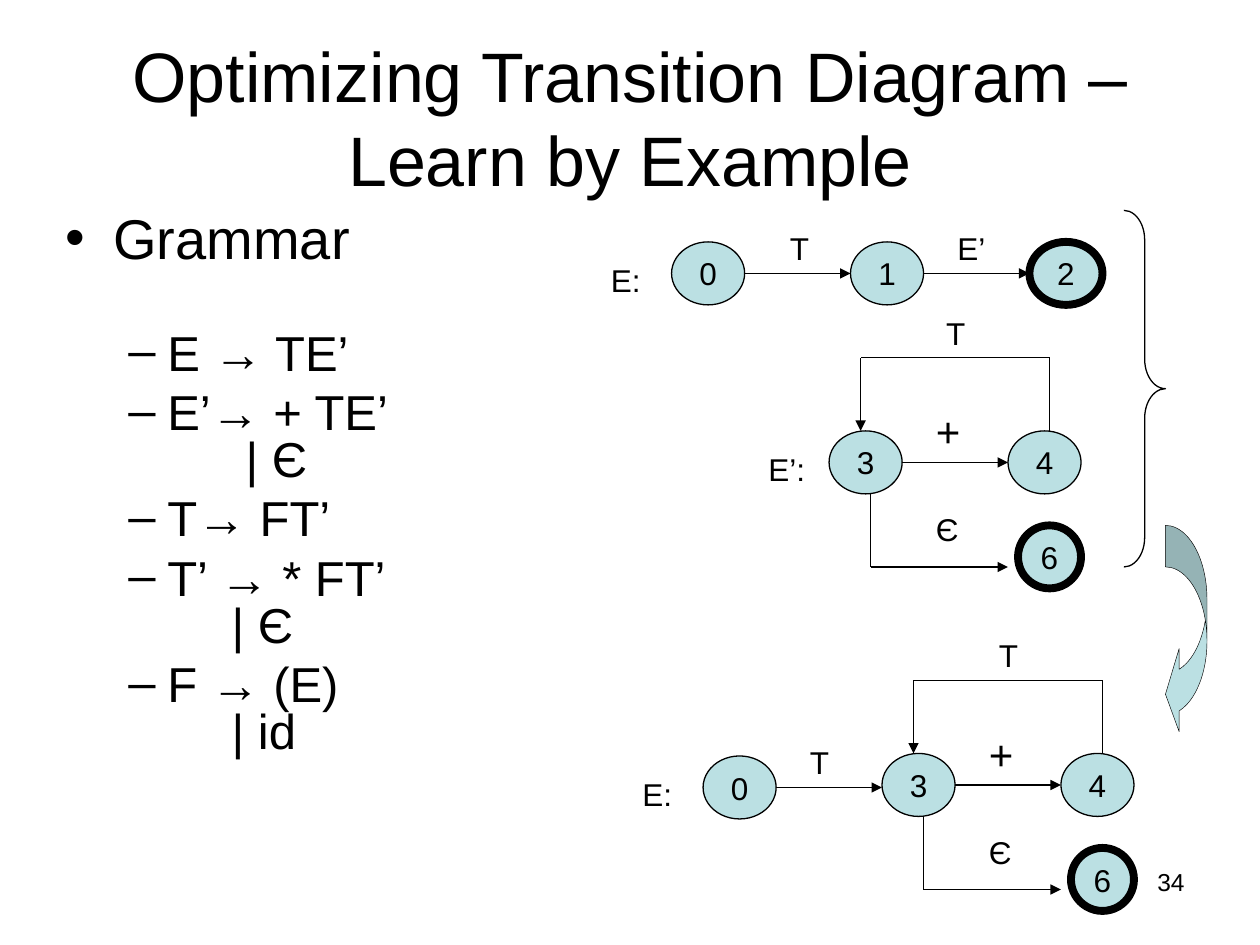
from pptx import Presentation
from pptx.dml.color import RGBColor
from pptx.enum import shapes, text
from pptx.oxml import ns, xmlchemy
from pptx.util import Inches, Pt

COLORS = {"ink": "000000", "state": "BBE0E3"}
FONT = "Arial"
STATE_WIDTH, STATE_HEIGHT = 0.58, 0.5
STATE_STEP = 1.42

# Text, and the tab stop in inches of its second line
RULES = [
    ("E → TE’", None),
    ("E’→ + TE’\n\t| Є", 1.43),
    ("T→ FT’", None),
    ("T’ → * FT’\n\t| Є", 1.32),
    ("F → (E)\n\t| id", 1.32),
]


def color(name):
    return RGBColor.from_string(COLORS[name])


def add_child(parent, tag, **attributes):
    child = xmlchemy.OxmlElement(tag)
    for name, value in attributes.items():
        child.set(name, str(value))
    parent.append(child)
    return child


def format_runs(paragraph, size):
    for run in paragraph.runs:
        run.font.size = Pt(size)
        run.font.name = FONT
        run.font.color.rgb = color("ink")


def add_text(container, content, left, top, width, height=0.4, size=18,
             align=text.PP_ALIGN.LEFT, anchor=text.MSO_ANCHOR.TOP):
    box = container.add_textbox(Inches(left), Inches(top), Inches(width), Inches(height))
    frame = box.text_frame
    frame.word_wrap = True
    frame.vertical_anchor = anchor
    frame.text = content
    frame.paragraphs[0].alignment = align
    format_runs(frame.paragraphs[0], size)
    return box


def add_outlined_shape(container, kind, left, top, width, height, fill=None, line=0.75):
    shape = container.add_shape(kind, Inches(left), Inches(top), Inches(width), Inches(height))
    shape.shadow.inherit = False
    if fill:
        shape.fill.solid()
        shape.fill.fore_color.rgb = color(fill)
    else:
        shape.fill.background()
    shape.line.color.rgb = color("ink")
    shape.line.width = Pt(line)
    return shape


def add_state(container, name, left, top, width=STATE_WIDTH, final=False):
    state = add_outlined_shape(container, shapes.MSO_SHAPE.OVAL, left, top, width,
                               STATE_HEIGHT, "state", 4.5 if final else 0.75)
    frame = state.text_frame
    frame.word_wrap = False
    frame.vertical_anchor = text.MSO_ANCHOR.MIDDLE
    frame.text = name
    frame.paragraphs[0].alignment = text.PP_ALIGN.CENTER
    format_runs(frame.paragraphs[0], 18)


def add_path(container, *points):
    """Straight segments through the points, with an arrowhead at the last."""
    for start, end in zip(points, points[1:]):
        connector = container.add_connector(
            shapes.MSO_CONNECTOR.STRAIGHT, *map(Inches, start + end))
        connector.line.color.rgb = color("ink")
        connector.line.width = Pt(0.75)
        if end == points[-1]:
            add_child(connector.line._get_or_add_ln(), "a:tailEnd", type="triangle")
        add_child(connector._element.spPr, "a:effectLst")


def add_step(container, left, top):
    """Arrow from the state at this place to the next one in its row."""
    middle = top + STATE_HEIGHT / 2
    add_path(container, (left + STATE_WIDTH, middle), (left + STATE_STEP, middle))


def add_row_name(container, name, left, top):
    add_text(container, name, left - 0.58, top + 0.1, 0.58)


def add_loop(container, left, top):
    """States 3, 4 and 6, placed from the corner of state 3."""
    add_state(container, "3", left, top)
    add_state(container, "4", left + STATE_STEP, top)
    add_state(container, "6", left + 1.5, top + 0.75, 0.5, final=True)
    add_step(container, left, top)
    add_path(container, (left + 1.75, top), (left + 1.75, top - 0.58),
             (left + 0.25, top - 0.58), (left + 0.25, top))
    add_path(container, (left + 0.33, top + 0.5), (left + 0.33, top + 1.08),
             (left + 1.42, top + 1.08))
    add_text(container, "T", left + 0.83, top - 0.98, 0.42)
    add_text(container, "+", left + 0.75, top - 0.25, 0.5, 0.5, size=24)
    add_text(container, "Є", left + 0.75, top + 0.58, 0.33)


def format_bullet(paragraph, bullet, size, margin, hanging, before, tab=None):
    paragraph.line_spacing = 0.8
    paragraph.space_before = Pt(before)
    properties = paragraph._p.get_or_add_pPr()
    properties.set("marL", str(Inches(margin)))
    properties.set("indent", str(-Inches(hanging)))
    add_child(properties, "a:buFont", typeface=FONT)
    add_child(properties, "a:buChar", char=bullet)
    if tab:
        tabs = add_child(properties, "a:tabLst")
        add_child(tabs, "a:tab", pos=Inches(tab), algn="l")
    format_runs(paragraph, size)


def add_grammar(container):
    box = add_text(container, "Grammar", 0.42, 1.67, 3.75, 4.96, size=32)
    heading = box.text_frame.paragraphs[0]
    heading.space_after = Pt(29)
    format_bullet(heading, "•", 32, 0.38, 0.38, 8)
    for rule, tab in RULES:
        paragraph = box.text_frame.add_paragraph()
        paragraph.text = rule
        paragraph.level = 1
        format_bullet(paragraph, "–", 28, 0.81, 0.31, 7, tab)


def add_first_diagram(container):
    left, top = 5.33, 1.92
    for index in range(3):
        add_state(container, str(index), left + index * STATE_STEP, top, final=index == 2)
    for index in range(2):
        add_step(container, left + index * STATE_STEP, top)
    add_row_name(container, "E:", left, top)
    add_text(container, "T", 6.17, 1.77, 0.5)
    add_text(container, "E’", 7.5, 1.77, 0.5)


def add_second_diagram(container):
    add_loop(container, 6.58, 3.42)
    add_row_name(container, "E’:", 6.58, 3.42)


def add_optimized_diagram(container):
    left, top = 5.58, 6
    add_state(container, "0", left, top)
    add_step(container, left, top)
    add_row_name(container, "E:", left, top)
    add_text(container, "T", 6.33, 5.85, 0.5)
    add_loop(container, 7, 5.98)


def main():
    presentation = Presentation()
    presentation.slide_width, presentation.slide_height = Inches(10), Inches(7.5)
    slide = presentation.slides.add_slide(presentation.slide_layouts[6])

    # Title and grammar
    add_text(slide.shapes, "Optimizing Transition Diagram – Learn by Example",
             0.5, 0.3, 9, 1.25, 40, text.PP_ALIGN.CENTER, text.MSO_ANCHOR.MIDDLE)
    add_grammar(slide.shapes)

    # Transition diagrams, one group each
    for draw in (add_optimized_diagram, add_second_diagram, add_first_diagram):
        draw(slide.shapes.add_group_shape().shapes)

    # Brace and arrow from the two diagrams to the optimized one
    brace = add_outlined_shape(slide.shapes, shapes.MSO_SHAPE.RIGHT_BRACE,
                               8.92, 1.67, 0.33, 2.83)
    brace.adjustments[0] = 0.71
    arrow = add_outlined_shape(slide.shapes, shapes.MSO_SHAPE.CURVED_LEFT_ARROW,
                               9.25, 4.17, 0.33, 1.67, "state", 0.25)
    for index, value in enumerate((1, 2, 0.33)):
        arrow.adjustments[index] = value

    # Slide number
    add_text(slide.shapes, "34", 7.17, 6.83, 2.33, 0.52, 14, text.PP_ALIGN.RIGHT)
    presentation.save("out.pptx")


if __name__ == "__main__":
    main()
